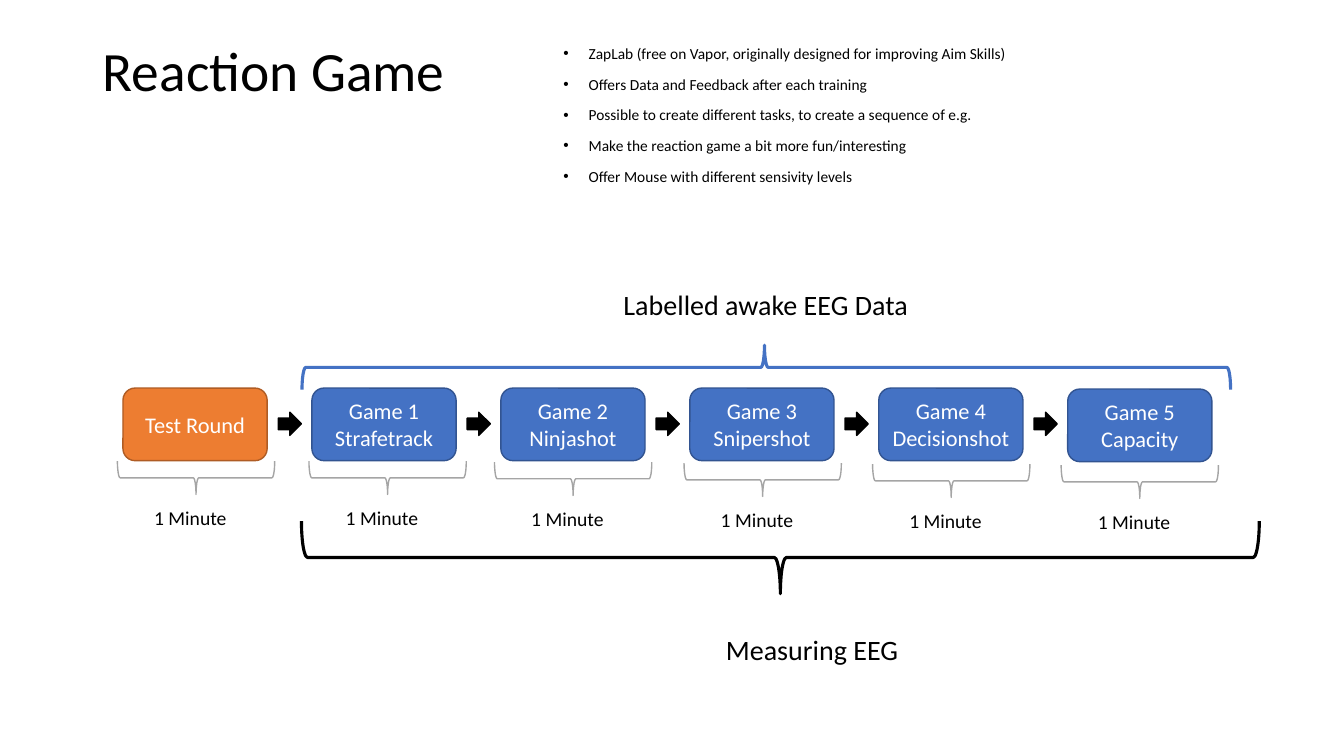
from lxml import etree
from pptx import Presentation
from pptx.dml.color import RGBColor
from pptx.enum.shapes import MSO_SHAPE
from pptx.enum.text import MSO_ANCHOR, MSO_AUTO_SIZE, PP_ALIGN
from pptx.oxml.ns import qn
from pptx.util import Inches, Pt

LEFT, CENTER = PP_ALIGN.LEFT, PP_ALIGN.CENTER
MIDDLE = MSO_ANCHOR.MIDDLE
NO_AUTOFIT = MSO_AUTO_SIZE.NONE
ROUNDED, ARROW, BRACE = MSO_SHAPE.ROUNDED_RECTANGLE, MSO_SHAPE.RIGHT_ARROW, MSO_SHAPE.LEFT_BRACE

FONT = "Calibri"
COLORS = {
    "black": "000000", "white": "FFFFFF", "gray": "A5A5A5",
    "blue": "4472C4", "dark blue": "325491",
    "orange": "ED7D31", "dark orange": "AF5C24",
}

deck = Presentation()
deck.slide_width, deck.slide_height = Inches(13.33), Inches(7.5)
page = deck.slides.add_slide(deck.slide_layouts[5])


def write(shape, lines, size, color="black", align=LEFT, wrap=True):
    """Fill the shape with one paragraph per line and return the paragraphs."""
    frame = shape.text_frame
    frame.word_wrap = wrap
    for index, line in enumerate(lines):
        para = frame.add_paragraph() if index else frame.paragraphs[0]
        para.alignment = align
        span = para.add_run()
        span.text = line
        span.font.name = FONT
        span.font.size = Pt(size)
        span.font.color.rgb = RGBColor.from_string(COLORS[color])
    return frame.paragraphs


def draw(kind, left, top, width, height, line, weight=1, fill=None, rotation=0):
    shape = page.shapes.add_shape(kind, Inches(left), Inches(top), Inches(width), Inches(height))
    shape.shadow.inherit = False
    shape.rotation = rotation
    shape.line.color.rgb = RGBColor.from_string(COLORS[line])
    shape.line.width = Pt(weight)
    if fill:
        shape.fill.solid()
        shape.fill.fore_color.rgb = RGBColor.from_string(COLORS[fill])
    else:
        shape.fill.background()
    return shape


# Title
title = page.shapes.title
title.left, title.top = Inches(0.92), Inches(0.4)
title.width, title.height = Inches(11.5), Inches(0.66)
title.text_frame.auto_size = NO_AUTOFIT
title.text_frame.vertical_anchor = MIDDLE
write(title, ["Reaction Game"], 39.6)[0].line_spacing = 0.9

# Bullet list
notes = [
    "ZapLab (free on Vapor, originally designed for improving Aim Skills)",
    "Offers Data and Feedback after each training",
    "Possible to create different tasks, to create a sequence of e.g.",
    "Make the reaction game a bit more fun/interesting",
    "Offer Mouse with different sensivity levels",
]
box = page.shapes.add_textbox(Inches(5.49), Inches(0.41), Inches(5), Inches(1.7))
for index, para in enumerate(write(box, notes, 11)):
    properties = para._p.get_or_add_pPr()
    properties.set("marL", str(Inches(0.25)))
    properties.set("indent", str(-Inches(0.25)))
    etree.SubElement(properties, qn("a:buFont")).set("typeface", "Arial")
    etree.SubElement(properties, qn("a:buChar")).set("char", "•")
    para.line_spacing = 0.9
    para.space_before = Pt(10 if index else 0)

# Rounds: lines, fill, outline, box top, brace left, brace top
rounds = [
    (["Test Round"], "orange", "dark orange", 3.85, 1.78, 3.96),
    (["Game 1", "Strafetrack"], "blue", "dark blue", 3.85, 3.68, 3.96),
    (["Game 2", "Ninjashot"], "blue", "dark blue", 3.85, 5.52, 3.97),
    (["Game 3", "Snipershot"], "blue", "dark blue", 3.85, 7.4, 3.98),
    (["Game 4", "Decisionshot"], "blue", "dark blue", 3.85, 9.27, 3.99),
    (["Game 5", "Capacity"], "blue", "dark blue", 3.86, 11.14, 4),
]
first_left, pitch = 1.22, 1.874
for index, (lines, fill, outline, top, brace_left, brace_top) in enumerate(rounds):
    left = first_left + index * pitch
    game = draw(ROUNDED, left, top, 1.43, 0.72, outline, fill=fill)
    game.text_frame.vertical_anchor = MIDDLE
    write(game, lines, 16, "white", CENTER)
    draw(BRACE, brace_left, brace_top, 0.33, 1.56, "gray", rotation=270)
    duration = page.shapes.add_textbox(
        Inches(brace_left - 0.35), Inches(brace_top + 1.01), Inches(0.93), Inches(0.34))
    write(duration, ["1 Minute"], 14, wrap=False)
    if index < len(rounds) - 1:
        draw(ARROW, left + 1.54, 4.09, 0.23, 0.23, "black", fill="black")

# Overall braces and their captions
draw(BRACE, 7.38, 0.78, 0.72, 9.5, "black", 2.25, rotation=270)
awake_brace = draw(BRACE, 7.38, -0.96, 0.44, 9.21, "blue", 2.25, rotation=90)
awake_brace.adjustments[1] = 0.502
for text, left, top, width in [
    ("Measuring EEG", 7.04, 6.23, 2.03),
    ("Labelled awake EEG Data", 5.98, 2.8, 3.23),
]:
    caption = page.shapes.add_textbox(Inches(left), Inches(top), Inches(width), Inches(0.44))
    write(caption, [text], 20, align=CENTER)

deck.save("out.pptx")
